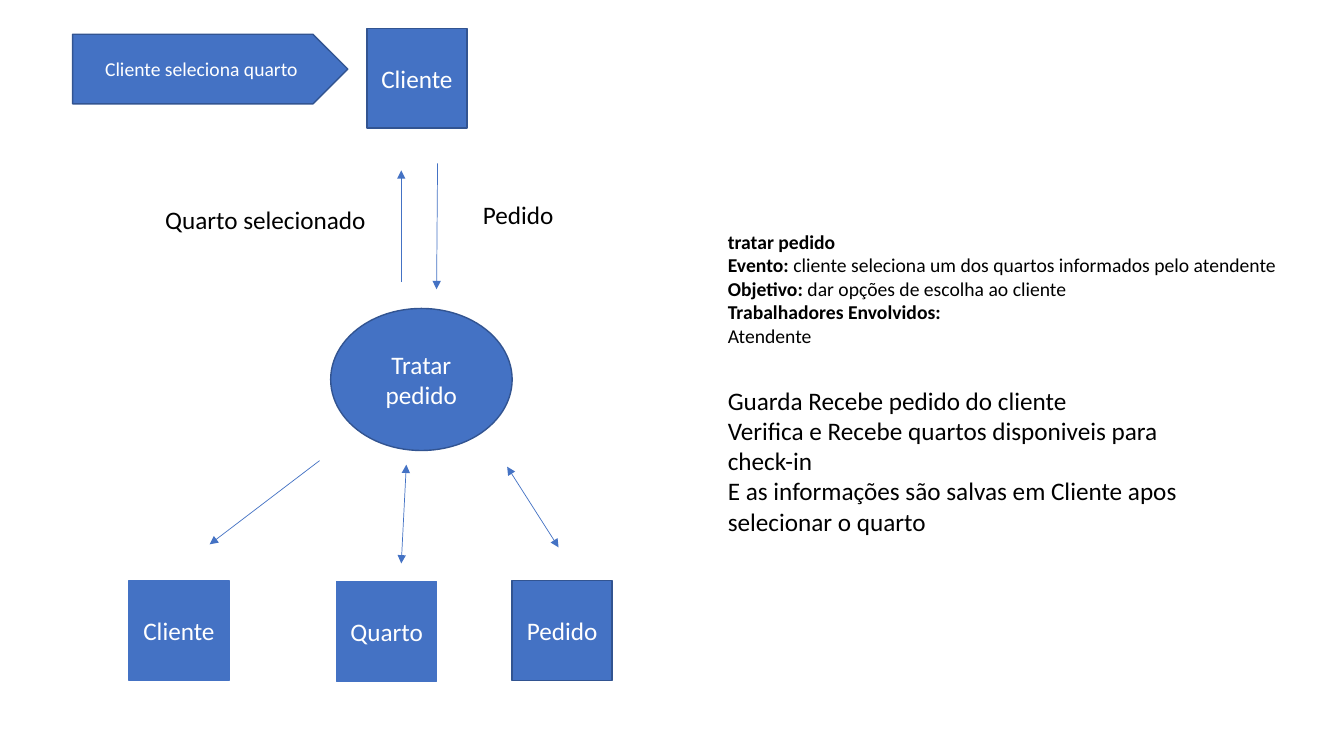
from lxml import etree
from pptx import Presentation
from pptx.dml.color import RGBColor
from pptx.enum.shapes import MSO_CONNECTOR, MSO_SHAPE
from pptx.enum.text import MSO_ANCHOR, PP_ALIGN
from pptx.oxml.ns import qn
from pptx.util import Inches, Pt

RECT, OVAL, PENTAGON = MSO_SHAPE.RECTANGLE, MSO_SHAPE.OVAL, MSO_SHAPE.PENTAGON
CENTER, LEFT, JUSTIFY = PP_ALIGN.CENTER, PP_ALIGN.LEFT, PP_ALIGN.JUSTIFY
COLORS = {"blue": "4472C4", "edge": "325491", "white": "FFFFFF", "black": "000000"}
FONT = "Calibri"
BOX = 0.99

# kind, left, top, width, height, line colour, text size, lines
NODES = [
    (RECT, 3.64, 0.28, BOX, BOX, "edge", 18, ["Cliente"]),
    (OVAL, 3.28, 3.06, 1.8, 1.41, "edge", 18, ["Tratar", "pedido"]),
    (PENTAGON, 0.72, 0.34, 2.73, 0.69, "edge", 14, ["Cliente seleciona quarto"]),
    (RECT, 1.28, 5.76, BOX, BOX, "blue", 18, ["Cliente"]),
    (RECT, 3.34, 5.77, BOX, BOX, "blue", 18, ["Quarto"]),
    (RECT, 5.08, 5.76, BOX, BOX, "edge", 18, ["Pedido"]),
]

# start, end, arrowheads
ARROWS = [
    ((3.98, 2.8), (3.98, 1.69), ["tailEnd"]),
    ((4.34, 1.62), (4.33, 2.87), ["tailEnd"]),
    ((3.98, 5.59), (4.03, 4.61), ["headEnd", "tailEnd"]),
    ((5.54, 5.43), (5.03, 4.63), ["headEnd", "tailEnd"]),
    ((3.17, 4.57), (2.08, 5.4), ["tailEnd"]),
]

# left, top, width, height, text size, alignment, paragraphs of (bold, plain)
TEXTS = [
    (1.54, 1.98, 3, 0.4, 18, LEFT, [("", "Quarto selecionado")]),
    (4.69, 1.93, 1.95, 0.4, 18, LEFT, [("", "Pedido")]),
    (7.12, 2.23, 6.15, 1.28, 14, JUSTIFY, [
        ("tratar pedido", ""),
        ("Evento: ", "cliente seleciona um dos quartos informados pelo atendente"),
        ("Objetivo:", " dar opções de escolha ao cliente"),
        ("Trabalhadores Envolvidos:", ""),
        ("", "Atendente"),
    ]),
    (7.12, 3.77, 5.09, 1.62, 18, LEFT, [
        ("", "Guarda Recebe pedido do cliente"),
        ("", "Verifica e Recebe quartos disponiveis para check-in"),
        ("", "E as informações são salvas em Cliente apos selecionar o quarto"),
    ]),
]


def rgb(name):
    return RGBColor.from_string(COLORS[name])


def write(tf, paragraphs, size, color, align):
    """Fill a text frame with paragraphs of (bold, plain) text."""
    tf.word_wrap = True
    for i, parts in enumerate(paragraphs):
        p = tf.add_paragraph() if i else tf.paragraphs[0]
        p.alignment = align
        p.font.name, p.font.size = FONT, Pt(size)
        p.font.color.rgb = rgb(color)
        for text, bold in zip(parts, (True, False)):
            if text:
                r = p.add_run()
                r.text = text
                r.font.bold = bold


def add_node(s, kind, left, top, width, height, edge, size, lines):
    sp = s.shapes.add_shape(kind, *map(Inches, (left, top, width, height)))
    sp.shadow.inherit = False
    sp.fill.solid()
    sp.fill.fore_color.rgb = rgb("blue")
    sp.line.color.rgb = rgb(edge)
    sp.line.width = Pt(1)
    sp.text_frame.vertical_anchor = MSO_ANCHOR.MIDDLE
    write(sp.text_frame, [("", line) for line in lines], size, "white", CENTER)


def add_arrow(s, start, end, heads):
    c = s.shapes.add_connector(MSO_CONNECTOR.STRAIGHT, *map(Inches, start + end))
    c.line.color.rgb = rgb("blue")
    c.line.width = Pt(0.5)
    ln = c.line._get_or_add_ln()
    for head in heads:
        etree.SubElement(ln, qn(f"a:{head}"), type="triangle")
    etree.SubElement(c._element.spPr, qn("a:effectLst"))


def add_text(s, left, top, width, height, size, align, paragraphs):
    sp = s.shapes.add_textbox(*map(Inches, (left, top, width, height)))
    write(sp.text_frame, paragraphs, size, "black", align)


def main():
    prs = Presentation()
    prs.slide_width, prs.slide_height = Inches(13.33), Inches(7.5)
    s = prs.slides.add_slide(prs.slide_layouts[6])
    for node in NODES:
        add_node(s, *node)
    for arrow in ARROWS:
        add_arrow(s, *arrow)
    for text in TEXTS:
        add_text(s, *text)
    prs.save("out.pptx")


if __name__ == "__main__":
    main()
